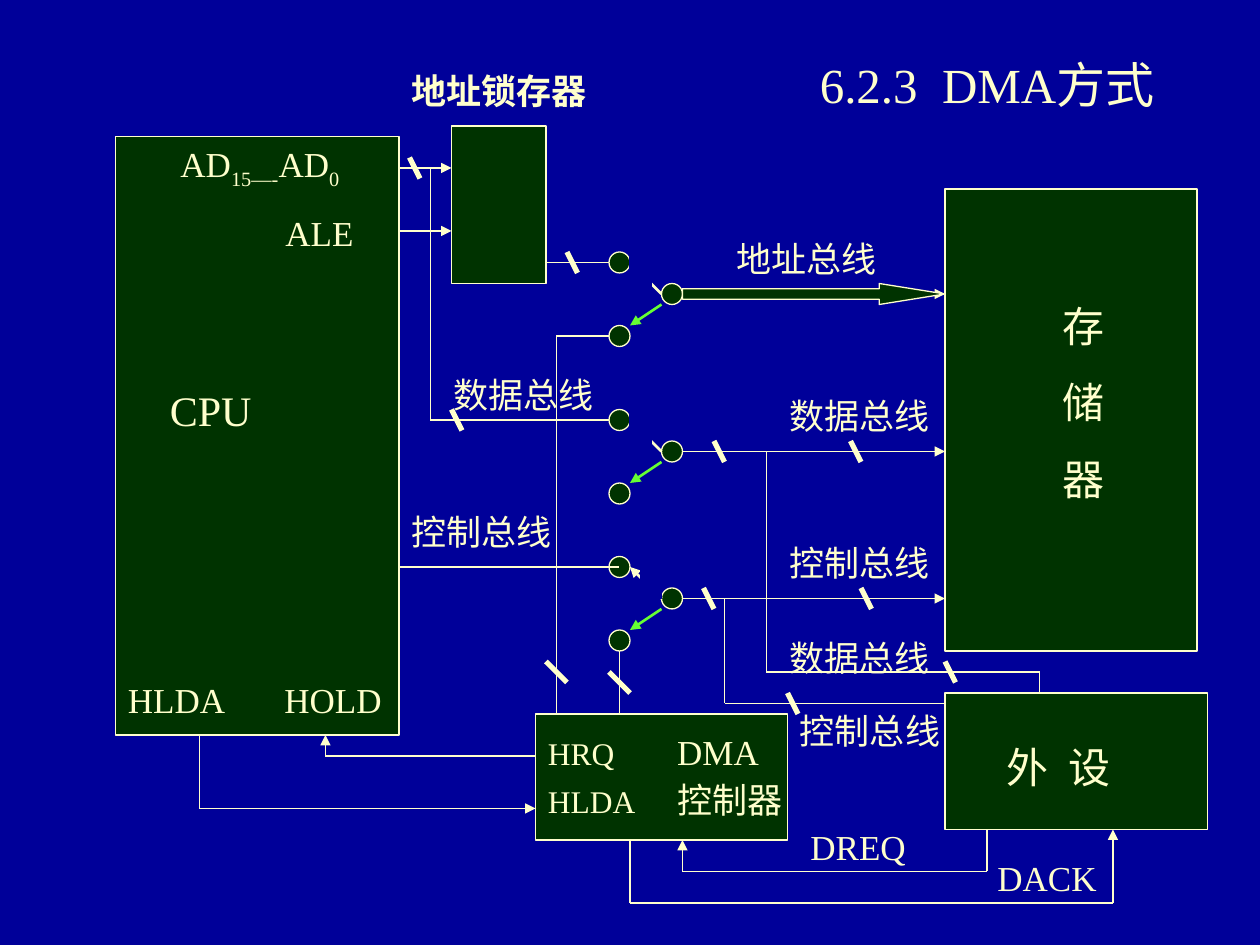
from pptx import Presentation
from pptx.dml.color import RGBColor
from pptx.enum.shapes import MSO_CONNECTOR, MSO_SHAPE
from pptx.enum.text import MSO_ANCHOR, PP_ALIGN
from pptx.oxml.ns import qn
from pptx.util import Emu, Pt
from lxml import etree

PX = 7620
NAVY = RGBColor(0x00, 0x00, 0x99)
GREEN = RGBColor(0x00, 0x33, 0x00)
CREAM = RGBColor(0xFF, 0xFF, 0xCC)
LIME = RGBColor(0x66, 0xFF, 0x33)
FONT = "Times New Roman"
RECT = MSO_SHAPE.RECTANGLE
OVAL = MSO_SHAPE.OVAL
ARROW = MSO_SHAPE.RIGHT_ARROW
LINE = MSO_CONNECTOR.STRAIGHT
LEFT = PP_ALIGN.LEFT
CENTER = PP_ALIGN.CENTER
TOP = MSO_ANCHOR.TOP
MIDDLE = MSO_ANCHOR.MIDDLE


def px(*nums):
    return [Emu(n * PX) for n in nums]


class Board:
    def __init__(self, deck):
        self.slide = deck.slides.add_slide(deck.slide_layouts[6])
        fill = self.slide.background.fill
        fill.solid()
        fill.fore_color.rgb = NAVY

    def shape(self, kind, x, y, w, h, fill=GREEN, line=CREAM):
        item = self.slide.shapes.add_shape(kind, *px(x, y, w, h))
        item.shadow.inherit = False
        item.fill.solid()
        item.fill.fore_color.rgb = fill
        item.line.color.rgb = line
        item.line.width = Pt(0.75)
        return item

    def line(self, start, end, width=0.75, color=CREAM, head=False):
        item = self.slide.shapes.add_connector(LINE, *px(*start, *end))
        item.line.color.rgb = color
        item.line.width = Pt(width)
        if head:
            tail = etree.SubElement(item.line._get_or_add_ln(), qn("a:tailEnd"))
            tail.set("type", "triangle")
        etree.SubElement(item._element.spPr, qn("a:effectLst"))

    def wire(self, *dots, head=False):
        last = len(dots) - 2
        for i, (start, end) in enumerate(zip(dots, dots[1:])):
            self.line(start, end, head=head and i == last)

    def text(self, rows, x, y, w, h=53, size=20, bold=None, align=LEFT,
             anchor=TOP, tab=None, gap=0, pitch=None):
        frame = self.slide.shapes.add_textbox(*px(x, y, w, h)).text_frame
        frame.word_wrap = True
        frame.vertical_anchor = anchor
        for i, row in enumerate(rows):
            para = frame.add_paragraph() if i else frame.paragraphs[0]
            para.alignment = align
            if tab:
                stops = etree.SubElement(para._p.get_or_add_pPr(), qn("a:tabLst"))
                etree.SubElement(stops, qn("a:tab"), pos=str(tab * PX), algn="l")
            if i:
                para.space_before = Pt(gap)
                if pitch:
                    para.line_spacing = pitch
            font = para.font
            font.name = FONT
            font.size = Pt(size)
            font.bold = bold
            font.color.rgb = CREAM
            for words, points, base in row:
                run = para.add_run()
                run.text = words
                if points != size:
                    run.font.size = Pt(points)
                if base:
                    run._r.get_or_add_rPr().set("baseline", str(base))

    def label(self, words, x, y, w, h=53, size=20, **style):
        self.text([[(words, size, 0)]], x, y, w, h, size, **style)

    def switch(self, y):
        for x, top in ((580, y), (580, y + 70), (630, y + 30)):
            self.shape(OVAL, x, top, 20, 20)
        self.line((630, y + 40), (600, y + 10), 1.5, head=True)
        self.line((630, y + 50), (600, y + 70), 1.5, LIME, True)
        self.wire((650, y + 40), (900, y + 40), head=True)


def main():
    deck = Presentation()
    deck.slide_width, deck.slide_height = px(1200, 900)
    board = Board(deck)

    board.label("6.2.3  DMA方式", 740, 40, 400, 80, 28, align=CENTER, anchor=MIDDLE)

    for area in ((110, 130, 270, 570), (430, 120, 90, 150), (900, 180, 240, 440),
                 (900, 660, 250, 130), (510, 680, 240, 120)):
        board.shape(RECT, *area)

    for y, x in ((240, 600), (390, 600), (530, 610)):
        board.switch(y)
        board.shape(RECT, x, y, 20, 40, NAVY, NAVY)

    bus = board.shape(ARROW, 650, 270, 250, 20)
    bus.adjustments[0] = 0.5
    bus.adjustments[1] = 3.13

    for dots in (((520, 250), (580, 250)),
                 ((580, 320), (530, 320), (530, 680)),
                 ((410, 160), (410, 400), (580, 400)),
                 ((380, 540), (590, 540)),
                 ((590, 620), (590, 680)),
                 ((730, 430), (730, 640), (990, 640), (990, 660)),
                 ((690, 570), (690, 670), (900, 670))):
        board.wire(*dots)

    for dots in (((380, 160), (430, 160)),
                 ((380, 220), (430, 220)),
                 ((510, 720), (310, 720), (310, 700)),
                 ((190, 700), (190, 770), (510, 770)),
                 ((940, 790), (940, 830), (650, 830), (650, 800)),
                 ((600, 800), (600, 860), (1060, 860), (1060, 790))):
        board.wire(*dots, head=True)

    for x, y in ((390, 150), (540, 240), (430, 390), (680, 420), (810, 420),
                 (670, 560), (820, 560), (900, 630), (750, 660)):
        board.line((x, y), (x + 10, y + 20), 3)
    for x, y in ((520, 630), (580, 640)):
        board.line((x, y), (x + 20, y + 20), 3)

    for words, x, y, w in (("地址总线", 690, 220, 190),
                           ("数据总线", 420, 350, 190),
                           ("数据总线", 740, 370, 180),
                           ("控制总线", 380, 480, 200),
                           ("控制总线", 740, 510, 180),
                           ("数据总线", 740, 600, 160),
                           ("控制总线", 750, 670, 200),
                           ("ALE", 260, 196, 110),
                           ("DREQ", 760, 780, 150),
                           ("DACK", 938, 810, 200)):
        board.label(words, x, y, w)

    board.label("地址锁存器", 380, 60, 280, bold=True)
    board.label("CPU", 150, 360, 160, 60, 24)
    board.label("HLDA\tHOLD", 110, 640, 270, tab=149)
    board.label("外\t设", 947, 700, 150, 60, 24, tab=59)
    board.text([[("AD", 20, 0), ("15—-", 20, -25000), ("AD", 20, 0), ("0", 20, -25000)]],
               160, 130, 220, 58)
    board.text([[(word, 24, 0)] for word in "存储器"], 1000, 280, 70, 206, 24, gap=15)
    board.text([[("HRQ", 18, 0), ("\tDMA", 20, 0)], [("HLDA", 18, 0), ("\t控制器", 20, 0)]],
               510, 690, 280, 95, tab=123, gap=12.5, pitch=0.55)

    deck.save("out.pptx")


if __name__ == "__main__":
    main()
